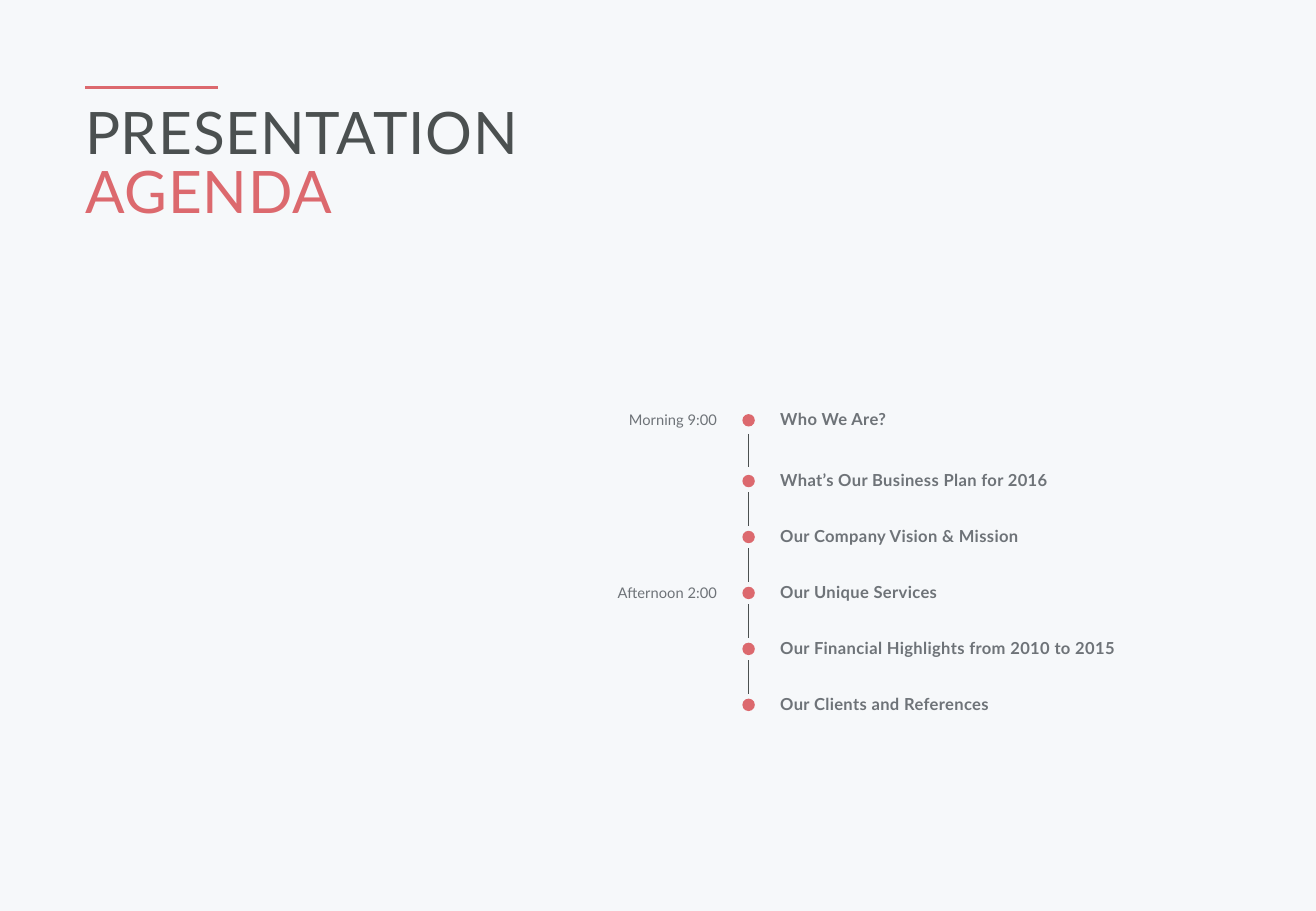
import lxml.etree
import pptx
import pptx.dml.color
import pptx.enum.shapes
import pptx.enum.text
import pptx.oxml.ns
import pptx.util

Cm, Pt = pptx.util.Cm, pptx.util.Pt
FONT = "Lato"
PAPER, CORAL, DARK, GREY = "F6F8FA", "DC696E", "4B5050", "6E7378"
AGENDA = [
    ("Morning 9:00", "Who We Are?"),
    ("", "What’s Our Business Plan for 2016"),
    ("", "Our Company Vision & Mission"),
    ("Afternoon 2:00", "Our Unique Services"),
    ("", "Our Financial Highlights from 2010 to 2015"),
    ("", "Our Clients and References"),
]


def color(value):
    """Turn a hex string into a colour."""
    return pptx.dml.color.RGBColor.from_string(value)


def add_text(s, x, y, w, h, lines, size, bold=False, spacing=0, leading=None, align=None):
    """Add a text box with one paragraph per (text, colour) pair."""
    tf = s.shapes.add_textbox(Cm(x), Cm(y), Cm(w), Cm(h)).text_frame
    tf.word_wrap = True
    tf.margin_left = tf.margin_right = tf.margin_top = tf.margin_bottom = 0
    for i, (text, hue) in enumerate(lines):
        p = tf.add_paragraph() if i else tf.paragraphs[0]
        p.font.name, p.font.size, p.font.bold = FONT, Pt(size), bold
        p.font.color.rgb = color(hue)
        p.alignment = align
        if leading:
            p.line_spacing = Pt(leading)
        r = p.add_run()
        r.text = text
        if spacing:
            r._r.get_or_add_rPr().set("spc", str(round(spacing * 100)))


def add_line(s, x1, y1, x2, y2, hue, width):
    """Add a straight line without a shadow."""
    sp = s.shapes.add_connector(
        pptx.enum.shapes.MSO_CONNECTOR.STRAIGHT, Cm(x1), Cm(y1), Cm(x2), Cm(y2))
    sp.line.color.rgb = color(hue)
    sp.line.width = Pt(width)
    lxml.etree.SubElement(sp._element.spPr, pptx.oxml.ns.qn("a:effectLst"))


def add_dot(s, x, y, size):
    """Add a round marker centred on a point."""
    sp = s.shapes.add_shape(
        pptx.enum.shapes.MSO_SHAPE.OVAL,
        Cm(x - size / 2), Cm(y - size / 2), Cm(size), Cm(size))
    sp.shadow.inherit = False
    sp.fill.solid()
    sp.fill.fore_color.rgb = color(CORAL)
    sp.line.fill.background()


def add_heading(s, x, y, w):
    """Add the accent rule and the two-line heading."""
    add_line(s, x, y, x + 2.77, y, CORAL, 2.25)
    add_text(s, x, y + 0.43, w, 2.49, [("PRESENTATION", DARK), ("AGENDA", CORAL)],
             34.7, spacing=0.5, leading=34.7)


def add_timeline(s, x, y, w):
    """Add the agenda rows along a dotted vertical axis, first dot at y."""
    axis, topic_x, first_gap, pitch, link = x + 3.51, x + 4.17, 1.27, 1.17, 0.7
    centres = [y] + [y + first_gap + i * pitch for i in range(len(AGENDA) - 1)]
    for cy, (time, topic) in zip(centres, AGENDA):
        add_dot(s, axis, cy, 0.26)
        add_text(s, topic_x, cy - 0.23, x + w - topic_x, 0.41, [(topic, GREY)],
                 9.8, bold=True, spacing=0.2)
        if time:
            add_text(s, x, cy - 0.2, 2.85, 0.38, [(time, GREY)], 8.7,
                     align=pptx.enum.text.PP_ALIGN.RIGHT)
    for above, below in zip(centres, centres[1:]):
        middle = (above + below) / 2
        add_line(s, axis, middle - link / 2, axis, middle + link / 2, DARK, 0.75)


def main():
    """Build and save the agenda slide."""
    prs = pptx.Presentation()
    prs.slide_width, prs.slide_height = Cm(27.51), Cm(19.05)
    s = prs.slides.add_slide(prs.slide_layouts[6])
    s.background.fill.solid()
    s.background.fill.fore_color.rgb = color(PAPER)
    add_timeline(s, 12.14, 8.79, 13.59)
    add_heading(s, 1.78, 1.83, 23.95)
    prs.save("out.pptx")


if __name__ == "__main__":
    main()
